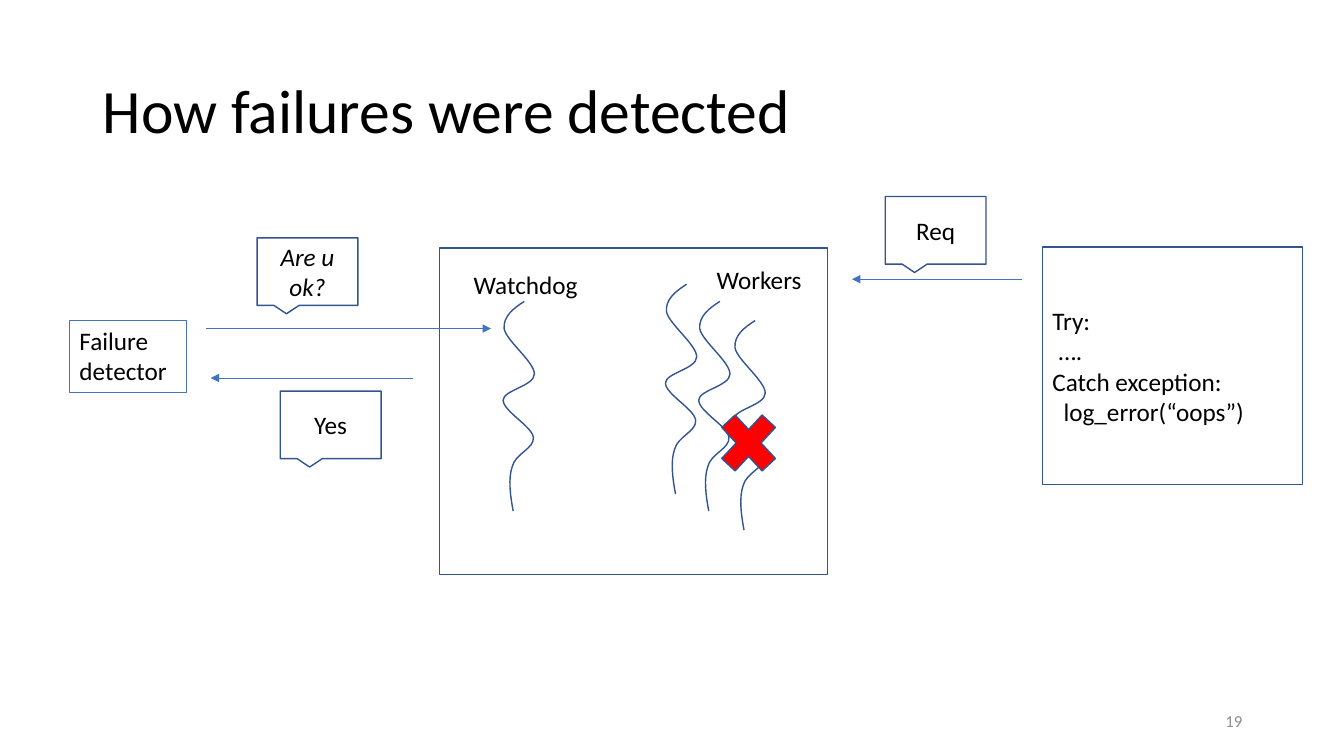
from dataclasses import dataclass

import lxml.etree
import pptx
import pptx.dml.color
import pptx.enum.shapes
import pptx.enum.text
import pptx.oxml.ns
import pptx.util
from pptx.util import Inches

SHAPES = pptx.enum.shapes.MSO_SHAPE
ALIGN = pptx.enum.text.PP_ALIGN
ANCHOR = pptx.enum.text.MSO_ANCHOR
qn = pptx.oxml.ns.qn


@dataclass(frozen=True)
class Theme:
    font: str = "Calibri"
    text: str = "000000"
    muted: str = "8C8C8C"
    outline: str = "325491"
    accent: str = "4472C4"
    paper: str = "FFFFFF"
    failure: str = "FF0000"
    title_size: float = 44
    body_size: float = 18
    number_size: float = 12
    outline_width: float = 1
    detector_width: float = 0.75
    arrow_width: float = 0.5


@dataclass(frozen=True)
class Box:
    left: float
    top: float
    width: float
    height: float

    def inner(self, left, top, width, height):
        return Box(self.left + left, self.top + top, width, height)

    def lengths(self):
        return [Inches(value) for value in (self.left, self.top, self.width, self.height)]


THEME = Theme()
THREAD_START = (0.21, 0)
THREAD_CONTROLS = [
    (0.10, 0.07), (0, 0.15), (0.01, 0.27),
    (0.03, 0.39), (0.31, 0.60), (0.31, 0.72),
    (0.31, 0.84), (0, 0.88), (0, 0.98),
    (0, 1.09), (0.29, 1.24), (0.30, 1.35),
    (0.31, 1.46), (0.12, 1.51), (0.09, 1.64),
    (0.05, 1.76), (0.07, 1.92), (0.10, 2.08),
]


def color(value):
    return pptx.dml.color.RGBColor.from_string(value)


def write(shape, lines, size=THEME.body_size, ink=THEME.text, align=ALIGN.LEFT,
          anchor=ANCHOR.TOP, italic=False, spacing=None, wrap=True, indents=()):
    frame = shape.text_frame
    frame.text = "\n".join(lines)
    frame.word_wrap = wrap
    frame.vertical_anchor = anchor
    for paragraph in frame.paragraphs:
        paragraph.alignment = align
        paragraph.line_spacing = spacing
        paragraph.font.name = THEME.font
        paragraph.font.size = pptx.util.Pt(size)
        paragraph.font.italic = italic
        paragraph.font.color.rgb = color(ink)
    for paragraph, indent in zip(frame.paragraphs, indents):
        properties = paragraph._p.get_or_add_pPr()
        properties.set("marL", str(Inches(indent)))
        properties.set("indent", "0")


def add_text(slide, box, text, **style):
    write(slide.shapes.add_textbox(*box.lengths()), [text], **style)


def style_shape(shape, fill=None, line=THEME.outline, width=THEME.outline_width):
    shape.shadow.inherit = False
    if fill:
        shape.fill.solid()
        shape.fill.fore_color.rgb = color(fill)
    else:
        shape.fill.background()
    shape.line.color.rgb = color(line)
    shape.line.width = pptx.util.Pt(width)


def add_shape(slide, kind, box, **style):
    shape = slide.shapes.add_shape(kind, *box.lengths())
    style_shape(shape, **style)
    return shape


def add_callout(slide, box, text, italic=False):
    callout = add_shape(slide, SHAPES.RECTANGULAR_CALLOUT, box)
    write(callout, [text], align=ALIGN.CENTER, anchor=ANCHOR.MIDDLE, italic=italic)


def add_arrow(slide, start, end, top):
    arrow = slide.shapes.add_connector(
        pptx.enum.shapes.MSO_CONNECTOR.STRAIGHT,
        Inches(start), Inches(top), Inches(end), Inches(top))
    arrow.line.color.rgb = color(THEME.accent)
    arrow.line.width = pptx.util.Pt(THEME.arrow_width)
    properties = arrow._element.spPr
    lxml.etree.SubElement(properties.find(qn("a:ln")), qn("a:tailEnd"), type="triangle")
    lxml.etree.SubElement(properties, qn("a:effectLst"))


def curve_outline(shape):
    outline = next(shape._element.iter(qn("a:path")))
    corners = outline.findall(qn("a:lnTo"))
    for first in range(0, len(corners), 3):
        curve = lxml.etree.SubElement(outline, qn("a:cubicBezTo"))
        for corner in corners[first:first + 3]:
            curve.append(corner[0])
            outline.remove(corner)


def add_thread(slide, left, top):
    def place(point):
        return Inches(left + point[0]), Inches(top + point[1])

    builder = slide.shapes.build_freeform(*place(THREAD_START))
    builder.add_line_segments([place(point) for point in THREAD_CONTROLS], close=False)
    thread = builder.convert_to_shape()
    curve_outline(thread)
    style_shape(thread)


def add_title(slide, box):
    add_text(slide, box, "How failures were detected", size=THEME.title_size,
             anchor=ANCHOR.MIDDLE, spacing=0.9)


def add_server(slide, box):
    for left, top in ((0.63, 0.53), (2.24, 0.36), (2.92, 0.72), (2.57, 0.53)):
        add_thread(slide, box.left + left, box.top + top)
    add_shape(slide, SHAPES.RECTANGLE, box)
    add_text(slide, box.inner(0.24, 0.16, 1.35, 0.4), "Watchdog")
    add_text(slide, box.inner(2.65, 0.11, 1.05, 0.4), "Workers", wrap=False)
    add_shape(slide, SHAPES.MATH_MULTIPLY, box.inner(2.68, 1.52, 0.77, 0.83),
              fill=THEME.failure)


def add_detector(slide, box):
    detector = add_shape(slide, SHAPES.RECTANGLE, box.inner(0, 0.82, 1.16, 0.71),
                         fill=THEME.paper, line=THEME.accent, width=THEME.detector_width)
    write(detector, ["Failure detector"])
    add_arrow(slide, box.left + 1.35, box.left + box.width, box.top + 0.9)
    add_callout(slide, box.inner(1.86, 0, 1, 0.67), "Are u ok?", italic=True)
    add_arrow(slide, box.left + 3.41, box.left + 1.4, box.top + 1.39)
    add_callout(slide, box.inner(2.09, 1.52, 1, 0.67), "Yes")


def add_client(slide, box):
    code = add_shape(slide, SHAPES.RECTANGLE, box.inner(1.89, 0.5, 2.58, 2.36))
    write(code, ["Try:", "….", "Catch exception:", "log_error(“oops”)"],
          anchor=ANCHOR.MIDDLE, indents=(0, 0.06, 0, 0.11))
    add_arrow(slide, box.left + 1.69, box.left, box.top + 0.82)
    add_callout(slide, box.inner(0.33, 0, 1, 0.67), "Req")


def add_page_number(slide, box):
    add_text(slide, box, "19", size=THEME.number_size, ink=THEME.muted,
             align=ALIGN.RIGHT, anchor=ANCHOR.MIDDLE)


def main():
    presentation = pptx.Presentation()
    presentation.slide_width = Inches(13.33)
    presentation.slide_height = Inches(7.5)
    slide = presentation.slides.add_slide(presentation.slide_layouts[6])
    add_title(slide, Box(0.92, 0.4, 11.5, 1.45))
    add_server(slide, Box(4.36, 2.46, 3.85, 3.24))
    add_detector(slide, Box(0.69, 2.36, 4.18, 2.19))
    add_client(slide, Box(8.45, 1.95, 4.47, 2.86))
    add_page_number(slide, Box(9.42, 6.95, 3, 0.4))
    presentation.save("out.pptx")


if __name__ == "__main__":
    main()
